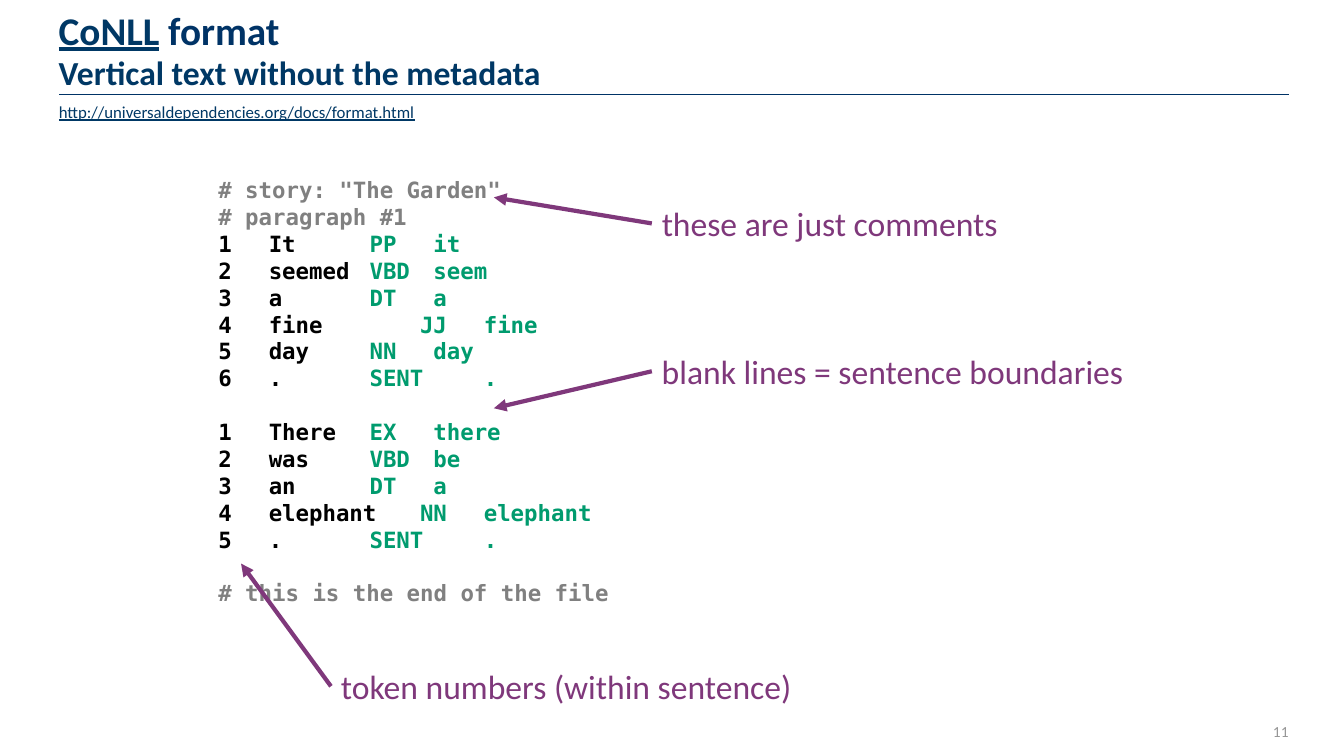
from lxml import etree
from pptx import Presentation
from pptx.dml.color import RGBColor
from pptx.enum.shapes import MSO_CONNECTOR
from pptx.enum.text import MSO_ANCHOR, PP_ALIGN
from pptx.oxml.ns import qn
from pptx.util import Inches, Pt

NAVY = RGBColor(0x00, 0x38, 0x65)
RULE_NAVY = RGBColor(0x00, 0x33, 0x66)
GRAY = RGBColor(0x80, 0x80, 0x80)
PALE_GRAY = RGBColor(0x96, 0x96, 0x96)
BLACK = RGBColor(0x00, 0x00, 0x00)
GREEN = RGBColor(0x00, 0x9B, 0x6E)
PURPLE = RGBColor(0x7F, 0x38, 0x7B)
STRAIGHT = MSO_CONNECTOR.STRAIGHT
TOP, MIDDLE, BOTTOM = MSO_ANCHOR.TOP, MSO_ANCHOR.MIDDLE, MSO_ANCHOR.BOTTOM
LEFT, RIGHT = PP_ALIGN.LEFT, PP_ALIGN.RIGHT
SANS, MONO = "Calibri", "DejaVu Sans Mono"
COLUMNS, ROWS = 160, 90
CODE_LINE = Pt(19.2)
TAB_STEP = Inches(0.5)

COMMENTS = ['# story: "The Garden"', "# paragraph #1"]
SENTENCES = [
    [("It", "PP", "it"), ("seemed", "VBD", "seem"), ("a", "DT", "a"),
     ("fine", "JJ", "fine"), ("day", "NN", "day"), (".", "SENT", ".")],
    [("There", "EX", "there"), ("was", "VBD", "be"), ("an", "DT", "a"),
     ("elephant", "NN", "elephant"), (".", "SENT", ".")],
]
ENDING = "# this is the end of the file"
CALLOUTS = [
    ("these are just comments", 77.6, 23.6, 43.8, (58.8, 23.5)),
    ("blank lines = sentence boundaries", 77.6, 41.2, 57.5, (58.8, 48.6)),
    ("token numbers (within sentence)", 39.4, 78.7, 57.5, (28.7, 67.1)),
]


def write(paragraph, text, size=16, color=BLACK, font=SANS, bold=False, underline=False):
    run = paragraph.add_run()
    run.text = text
    run.font.size = Pt(size)
    run.font.name = font
    run.font.bold = bold
    run.font.underline = underline
    run.font.color.rgb = color


class FormatSlide:
    def __init__(self, deck):
        self.column = deck.slide_width / COLUMNS
        self.row = deck.slide_height / ROWS
        self.slide = deck.slides.add_slide(deck.slide_layouts[6])

    def point(self, column, row):
        return round(column * self.column), round(row * self.row)

    def box(self, left, top, width, height, insets=(0, 0, 0, 0), anchor=TOP, align=LEFT):
        shape = self.slide.shapes.add_textbox(*self.point(left, top), *self.point(width, height))
        frame = shape.text_frame
        frame.word_wrap = True
        frame.vertical_anchor = anchor
        (frame.margin_left, frame.margin_top,
         frame.margin_right, frame.margin_bottom) = [Inches(inset) for inset in insets]
        frame.paragraphs[0].alignment = align
        return frame

    def line(self, start, end, color, width, arrow=False):
        connector = self.slide.shapes.add_connector(STRAIGHT, *self.point(*start), *self.point(*end))
        connector.line.color.rgb = color
        connector.line.width = Pt(width)
        if arrow:
            etree.SubElement(connector.line._get_or_add_ln(), qn("a:tailEnd"), type="triangle")
        etree.SubElement(connector._element.spPr, qn("a:effectLst"))

    def title(self, linked, rest, subtitle):
        heading = self.box(7, 1.5, 101.3, 9.5, anchor=BOTTOM).paragraphs[0]
        heading.line_spacing = Pt(28)
        write(heading, linked, size=28, color=NAVY, bold=True, underline=True)
        write(heading, rest, size=28, color=RULE_NAVY, bold=True)
        heading.add_line_break()
        write(heading, subtitle, size=24, color=NAVY, bold=True)

    def code_line(self, frame, parts, after_blank=False):
        paragraph = frame.paragraphs[0]
        if paragraph.runs:
            paragraph = frame.add_paragraph()
        paragraph.line_spacing = CODE_LINE
        if after_blank:
            paragraph.space_before = CODE_LINE
        stops = etree.SubElement(paragraph._p.get_or_add_pPr(), qn("a:tabLst"))
        for step in range(1, 7):
            etree.SubElement(stops, qn("a:tab"), pos=str(step * TAB_STEP), algn="l")
        for text, color in parts:
            write(paragraph, text, color=color, font=MONO, bold=True)

    def listing(self):
        frame = self.box(26, 21, 108, 66.8)
        for comment in COMMENTS:
            self.code_line(frame, [(comment, GRAY)])
        for index, sentence in enumerate(SENTENCES):
            for number, (word, tag, lemma) in enumerate(sentence, 1):
                gap = "\t" if len(word) > 4 else "\t\t"
                parts = [(f"{number}\t{word}{gap}", BLACK), (f"{tag}\t {lemma}", GREEN)]
                self.code_line(frame, parts, after_blank=index > 0 and number == 1)
        self.code_line(frame, [(ENDING, GRAY)], after_blank=True)

    def callout(self, text, left, top, width, tip):
        label = self.box(left, top, width, 6, insets=(0.1, 0.05, 0.1, 0.05))
        write(label.paragraphs[0], text, size=24, color=PURPLE)
        self.line((left, top + 3), tip, PURPLE, 3, arrow=True)


def main():
    deck = Presentation()
    deck.slide_width = Inches(13.33)
    deck.slide_height = Inches(7.5)
    page = FormatSlide(deck)
    page.line((153.4, 11.3), (7, 11.3), RULE_NAVY, 0.75)
    page.title("CoNLL", " format", "Vertical text without the metadata")
    page.listing()
    for callout in CALLOUTS:
        page.callout(*callout)
    address = page.box(7, 11.5, 55, 3.6, insets=(0, 0.05, 0, 0.05))
    write(address.paragraphs[0], "http://universaldependencies.org/docs/format.html",
          size=12, color=NAVY, underline=True)
    page_number = page.box(145.4, 84.1, 8, 5.9, insets=(0.1, 0, 0, 0), anchor=MIDDLE, align=RIGHT)
    write(page_number.paragraphs[0], "11", size=11, color=PALE_GRAY)
    deck.save("out.pptx")


if __name__ == "__main__":
    main()
